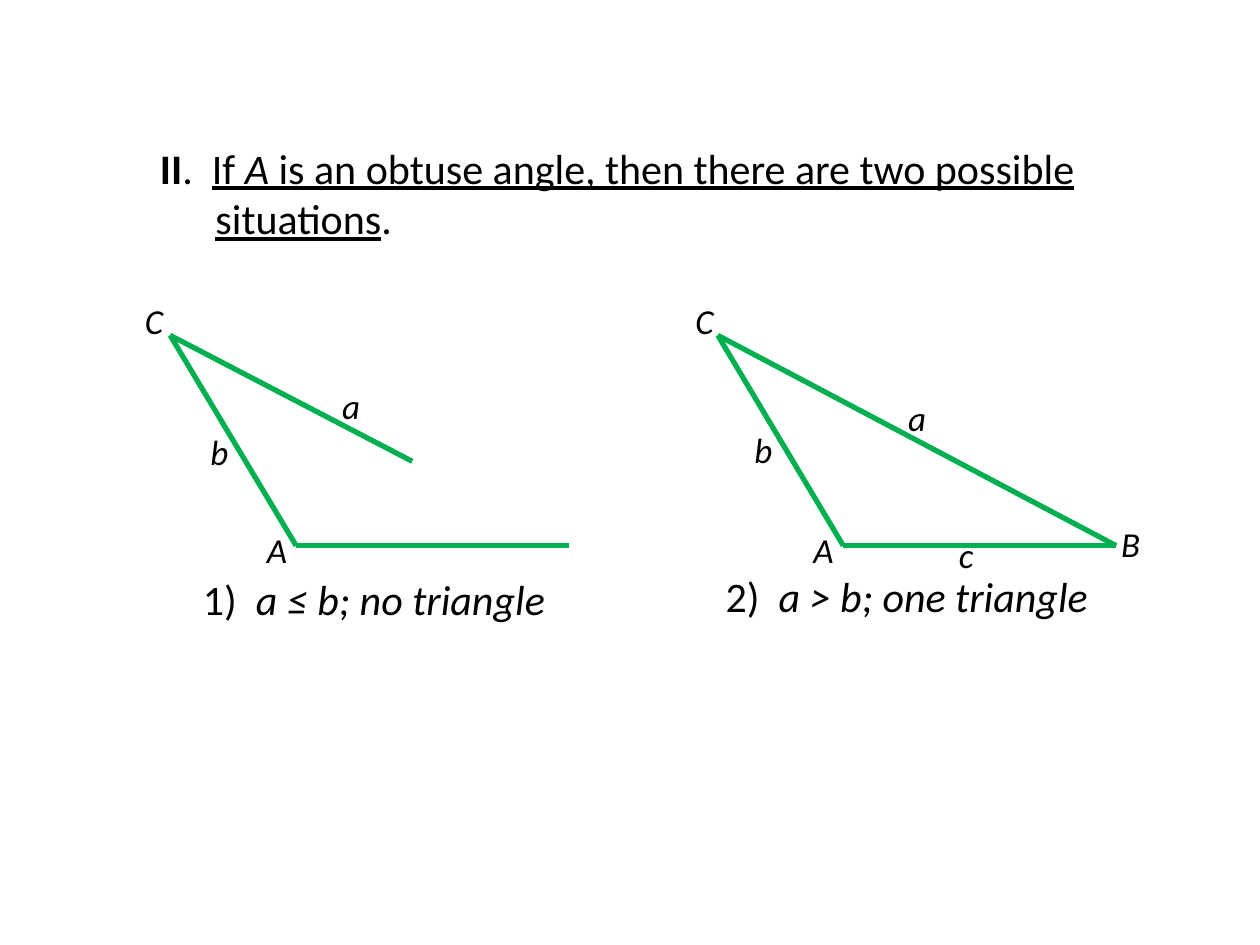
from dataclasses import dataclass

from lxml.etree import SubElement
from pptx import Presentation
from pptx.dml.color import RGBColor
from pptx.enum.shapes import MSO_CONNECTOR
from pptx.enum.text import MSO_ANCHOR, MSO_AUTO_SIZE, PP_ALIGN
from pptx.oxml.ns import qn
from pptx.shapes.group import GroupShape
from pptx.text.text import TextFrame
from pptx.util import Cm, Pt

COLORS = {"text": "000000", "side": "00B050"}
FONT = "Calibri"
Point = tuple[float, float]


@dataclass(frozen=True)
class Label:
    text: str
    left: float
    top: float
    width: float = 0.86


@dataclass(frozen=True)
class Situation:
    number: str
    conclusion: str
    caption: Label
    sides: list[tuple[Point, Point]]
    labels: list[Label]


def add_text(frame: TextFrame, text: str, *, size: float, bold: bool = False,
             italic: bool = False, underline: bool = False) -> None:
    run = frame.paragraphs[0].add_run()
    run.text = text
    font = run.font
    font.name, font.size = FONT, Pt(size)
    font.bold, font.italic, font.underline = bold, italic, underline
    font.color.rgb = RGBColor.from_string(COLORS["text"])


def add_label_frame(group: GroupShape, label: Label, height: float) -> TextFrame:
    box = group.shapes.add_textbox(
        Cm(label.left), Cm(label.top), Cm(label.width), Cm(height))
    frame = box.text_frame
    frame.word_wrap = False
    frame.auto_size = MSO_AUTO_SIZE.SHAPE_TO_FIT_TEXT
    return frame


def add_side(group: GroupShape, start: Point, end: Point) -> None:
    side = group.shapes.add_connector(
        MSO_CONNECTOR.STRAIGHT, *map(Cm, start + end))
    side.line.color.rgb = RGBColor.from_string(COLORS["side"])
    side.line.width = Pt(3)
    SubElement(side._element.spPr, qn("a:effectLst"))


def add_situation(slide, situation: Situation) -> None:
    group = slide.shapes.add_group_shape()
    caption = add_label_frame(group, situation.caption, 1.27)
    add_text(caption, situation.number, size=24)
    add_text(caption, situation.conclusion, size=24, italic=True)
    for start, end in situation.sides:
        add_side(group, start, end)
    for label in situation.labels:
        add_text(add_label_frame(group, label, 1.11), label.text,
                 size=20, italic=True)


def format_title(title) -> None:
    title.left, title.top = Cm(2.97), Cm(2.74)
    title.width, title.height = Cm(19.48), Cm(2.29)
    frame = title.text_frame
    frame.word_wrap = True
    frame.auto_size = MSO_AUTO_SIZE.NONE
    frame.vertical_anchor = MSO_ANCHOR.TOP
    paragraph = frame.paragraphs[0]
    paragraph.alignment = PP_ALIGN.LEFT
    properties = paragraph._p.get_or_add_pPr()
    properties.set("marL", str(Cm(1.12)))
    properties.set("indent", str(Cm(-1.12)))
    add_text(frame, "II", size=24, bold=True)
    add_text(frame, ".  ", size=24)
    add_text(frame, "If ", size=24, underline=True)
    add_text(frame, "A", size=24, italic=True, underline=True)
    add_text(frame, " is an obtuse angle, then there are two possible situations",
             size=24, underline=True)
    add_text(frame, ".", size=24)


APEX_Y, BASE_Y = 6.76, 11.0
C1, A1, BASE_END, OPEN_END = (3.43, APEX_Y), (5.97, BASE_Y), (11.48, BASE_Y), (8.31, 9.3)
C2, A2, B2 = (14.47, APEX_Y), (17.0, BASE_Y), (22.5, BASE_Y)

SITUATIONS = [
    Situation(
        "1)  ", "a ≤ b; no triangle ", Label("", 3.84, 11.43, 7.59),
        [(C1, A1), (A1, BASE_END), (C1, OPEN_END)],
        [Label("a", 6.65, 7.62), Label("b", 3.99, 8.56),
         Label("C", 2.67, 5.92), Label("A", 5.13, 10.52, 0.91)],
    ),
    Situation(
        "2)  ", "a > b; one triangle ", Label("", 14.38, 11.38, 8.0),
        [(C2, A2), (A2, B2), (C2, B2)],
        [Label("b", 14.96, 8.51), Label("c", 19.08, 10.64, 0.79),
         Label("a", 18.06, 7.87), Label("C", 13.77, 5.92),
         Label("B", 22.35, 10.41, 0.89), Label("A", 16.15, 10.52, 0.91)],
    ),
]

presentation = Presentation()
presentation.slide_width, presentation.slide_height = Cm(25.4), Cm(19.05)
slide = presentation.slides.add_slide(presentation.slide_layouts[5])
format_title(slide.shapes.title)
for situation in SITUATIONS:
    add_situation(slide, situation)
presentation.save("out.pptx")
